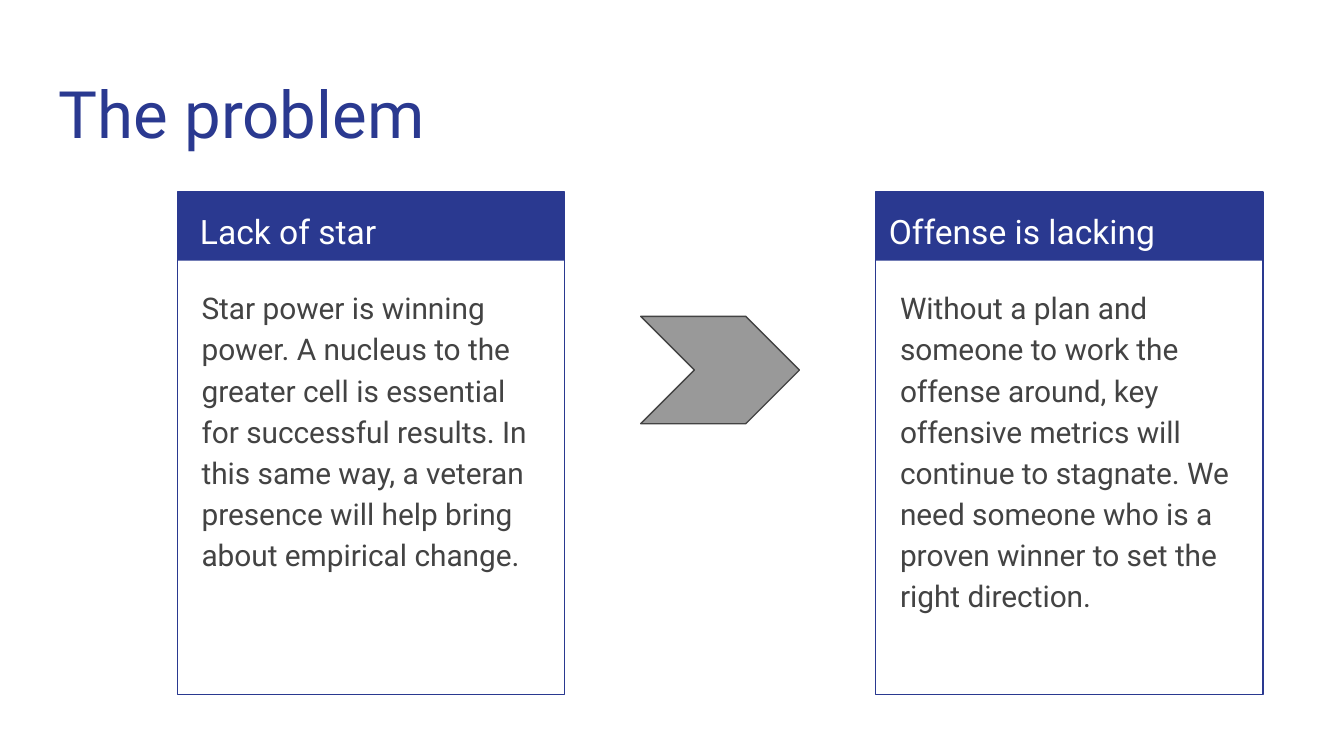
from pptx import Presentation
from pptx.dml.color import RGBColor
from pptx.enum import shapes, text
from pptx.util import Cm, Pt

# Content
TITLE = "The problem"
PANELS = [
    {
        "left": 3.35,
        "heading_indent": 0.18,
        "heading": "Lack of star",
        "body": "Star power is winning power. A nucleus to the greater cell is "
                "essential for successful results. In this same way, a veteran "
                "presence will help bring about empirical change.",
    },
    {
        "left": 16.55,
        "heading_indent": 0,
        "heading": "Offense is lacking",
        "body": "Without a plan and someone to work the offense around, key "
                "offensive metrics will continue to stagnate. We need someone "
                "who is a proven winner to set the right direction.",
    },
]

# Style
COLORS = {"navy": "2A3990", "white": "FFFFFF", "ink": "434343", "gray": "999999"}
FONTS = {
    "title": {"size": Pt(35), "color": "navy"},
    "heading": {"size": Pt(18), "color": "white"},
    "body": {"size": Pt(16), "color": "ink"},
}
PARAGRAPHS = {
    "title": {},
    "heading": {"line_spacing": 1.15},
    "body": {"line_spacing": 1.15, "space_after": Pt(16)},
}
FRAME = {
    "word_wrap": True,
    "vertical_anchor": text.MSO_ANCHOR.TOP,
    "margin_left": Cm(0.25),
    "margin_right": Cm(0.25),
    "margin_top": Cm(0.25),
    "margin_bottom": Cm(0.25),
}

# Layout in centimetres
PANEL_TOP, PANEL_WIDTH, PANEL_HEIGHT, HEADER_HEIGHT = 3.63, 7.32, 9.5, 1.3


def color(name):
    return RGBColor.from_string(COLORS[name])


def apply(target, values):
    for name, value in values.items():
        setattr(target, name, value)


def add_text(slide, box, words, style):
    frame = slide.shapes.add_textbox(*map(Cm, box)).text_frame
    apply(frame, FRAME)
    paragraph = frame.paragraphs[0]
    apply(paragraph, PARAGRAPHS[style])
    run = paragraph.add_run()
    run.text = words
    apply(run.font, {"name": "Roboto", "size": FONTS[style]["size"]})
    run.font.color.rgb = color(FONTS[style]["color"])


def add_shape(parent, kind, box, fill=None, line=None):
    shape = parent.shapes.add_shape(kind, *map(Cm, box))
    shape.shadow.inherit = False
    if fill:
        shape.fill.solid()
        shape.fill.fore_color.rgb = color(fill)
    else:
        shape.fill.background()
    if line:
        shape.line.color.rgb = color(line)
        shape.line.width = Pt(0.75)
    else:
        shape.line.fill.background()


def add_panel(slide, panel):
    left = panel["left"]
    rectangle = shapes.MSO_SHAPE.RECTANGLE
    group = slide.shapes.add_group_shape()
    add_shape(group, rectangle, (left, PANEL_TOP, PANEL_WIDTH, HEADER_HEIGHT), fill="navy")
    add_shape(group, rectangle, (left, PANEL_TOP, PANEL_WIDTH, PANEL_HEIGHT), line="navy")
    add_text(slide, (left + panel["heading_indent"], PANEL_TOP, 6.93, 1.27),
             panel["heading"], "heading")
    add_text(slide, (left + 0.21, PANEL_TOP + 1.5, 6.88, 7.77), panel["body"], "body")


def main():
    presentation = Presentation()
    presentation.slide_width, presentation.slide_height = Cm(25.4), Cm(14.29)
    slide = presentation.slides.add_slide(presentation.slide_layouts[6])

    # Title
    add_text(slide, (0.86, 1.14, 23.67, 1.68), TITLE, "title")

    # Panels
    for panel in PANELS:
        add_panel(slide, panel)

    # Chevron from the first panel to the second
    add_shape(slide, shapes.MSO_SHAPE.CHEVRON, (12.11, 5.98, 3, 2.03),
              fill="gray", line="ink")

    presentation.save("out.pptx")


if __name__ == "__main__":
    main()
